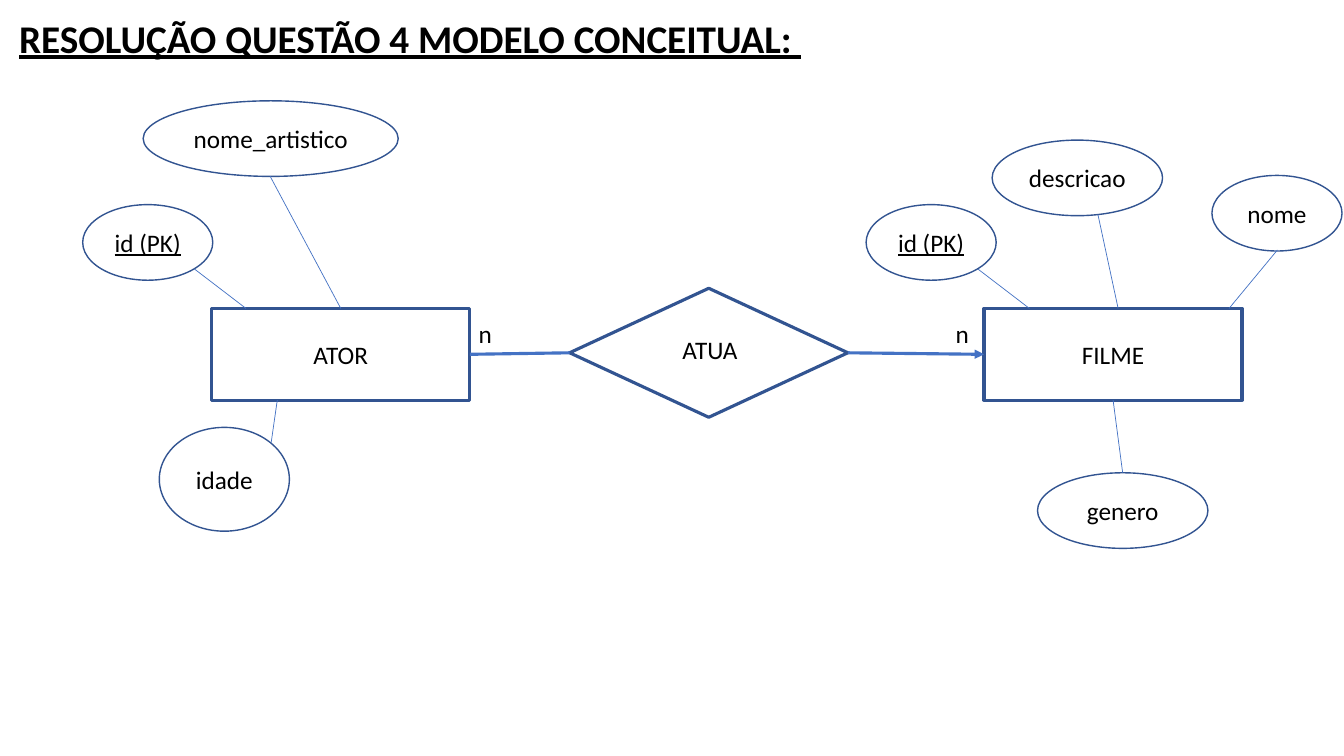
from dataclasses import dataclass

from lxml.etree import SubElement
from pptx import Presentation
from pptx.dml.color import RGBColor
from pptx.enum.shapes import MSO_CONNECTOR as Connector, MSO_SHAPE as Shape
from pptx.enum.text import MSO_ANCHOR as Anchor, MSO_AUTO_SIZE as AutoSize, PP_ALIGN as Align
from pptx.oxml.ns import qn
from pptx.util import Inches, Pt


@dataclass(frozen=True)
class Theme:
    font: str = "Calibri"
    text: RGBColor = RGBColor(0x00, 0x00, 0x00)
    outline: RGBColor = RGBColor(0x32, 0x54, 0x91)
    link: RGBColor = RGBColor(0x44, 0x72, 0xC4)
    title_size: int = 28
    label_size: int = 18
    thick: float = 2.25
    medium: float = 1
    thin: float = 0.5


THEME = Theme()
TOP, BOTTOM, LEFT, RIGHT = 0, 2, 1, 3  # connection sites, by side
ENTITY_TOP, ENTITY_SIZE = 3.06, (2.56, 0.91)
SMALL, MEDIUM = (1.29, 0.75), (1.69, 0.75)  # attribute ellipses


def write(shape, text, size=THEME.label_size, align=Align.LEFT, bold=False, underline=False):
    frame = shape.text_frame
    frame.text = text
    frame.paragraphs[0].alignment = align
    font = frame.paragraphs[0].runs[0].font
    font.name, font.size = THEME.font, Pt(size)
    font.bold, font.underline = bold, underline
    font.color.rgb = THEME.text


def add_title(slide, text):
    title = slide.shapes.title
    title.left, title.top = Inches(0.09), Inches(0.09)
    title.width, title.height = Inches(8.04), Inches(0.57)
    write(title, text, THEME.title_size, bold=True, underline=True)
    title.text_frame.word_wrap = False
    title.text_frame.auto_size = AutoSize.NONE
    title.text_frame.vertical_anchor = Anchor.TOP


def add_outlined(slide, kind, position, size, weight, text="", underline=False):
    shape = slide.shapes.add_shape(kind, *map(Inches, position + size))
    shape.shadow.inherit = False
    shape.fill.background()
    shape.line.color.rgb = THEME.outline
    shape.line.width = Pt(weight)
    if text:
        write(shape, text, align=Align.CENTER, underline=underline)
        shape.text_frame.vertical_anchor = Anchor.MIDDLE
    return shape


def add_entity(slide, name, left):
    return add_outlined(slide, Shape.RECTANGLE, (left, ENTITY_TOP), ENTITY_SIZE,
                        THEME.thick, name)


def add_attribute(slide, name, position, size, key=False):
    return add_outlined(slide, Shape.OVAL, position, size, THEME.medium, name, underline=key)


def add_label(slide, text, left, top, width):
    label = slide.shapes.add_textbox(*map(Inches, (left, top, width, 0.4)))
    label.text_frame.word_wrap = False
    write(label, text)


def add_link(slide, start, end, weight=THEME.thin, begin_at=None, end_at=None, arrow=False):
    """Draw a line; begin_at and end_at are (shape, side) pairs to join."""
    link = slide.shapes.add_connector(Connector.STRAIGHT, *map(Inches, start + end))
    link.line.color.rgb = THEME.link
    link.line.width = Pt(weight)
    if arrow:
        SubElement(link.line._get_or_add_ln(), qn("a:tailEnd"), type="triangle")
    SubElement(link._element.spPr, qn("a:effectLst"))
    if begin_at:
        link.begin_connect(*begin_at)
    if end_at:
        link.end_connect(*end_at)


def main():
    deck = Presentation()
    deck.slide_width, deck.slide_height = Inches(13.33), Inches(7.5)
    slide = deck.slides.add_slide(deck.slide_layouts[5])
    add_title(slide, "RESOLUÇÃO QUESTÃO 4 MODELO CONCEITUAL: ")

    # Actor entity and its attributes
    ator = add_entity(slide, "ATOR", 2.1)
    add_attribute(slide, "nome_artistico", (1.42, 1), (2.53, 0.75))
    add_attribute(slide, "id (PK)", (0.82, 2.03), SMALL, key=True)
    add_attribute(slide, "idade", (1.58, 4.24), (1.29, 1.03))
    add_link(slide, (1.93, 2.67), (2.44, 3.06))
    add_link(slide, (2.68, 1.75), (3.38, 3.06), end_at=(ator, TOP))
    add_link(slide, (2.75, 3.97), (2.69, 4.39))

    # Film entity and its attributes
    filme = add_entity(slide, "FILME", 9.76)
    add_attribute(slide, "id (PK)", (8.59, 2.03), SMALL, key=True)
    add_attribute(slide, "nome", (12.02, 1.74), SMALL)
    add_attribute(slide, "descricao", (9.84, 1.39), MEDIUM)
    genero = add_attribute(slide, "genero", (10.29, 4.69), MEDIUM)
    add_link(slide, (9.7, 2.67), (10.21, 3.06))
    add_link(slide, (12.67, 2.48), (12.19, 3.06))
    add_link(slide, (10.89, 2.13), (11.09, 3.06))
    add_link(slide, (11.14, 4.69), (11.04, 3.97),
             begin_at=(genero, TOP), end_at=(filme, BOTTOM))

    # Relationship between the entities, with cardinalities
    atua = add_outlined(slide, Shape.FLOWCHART_DECISION, (5.65, 2.86), (2.76, 1.28), THEME.thick)
    add_link(slide, (4.66, 3.51), (5.65, 3.5), THEME.thick,
             begin_at=(ator, RIGHT), end_at=(atua, LEFT))
    add_link(slide, (8.41, 3.5), (9.76, 3.51), THEME.thick,
             begin_at=(atua, RIGHT), end_at=(filme, LEFT), arrow=True)
    add_label(slide, "ATUA", 6.67, 3.27, 0.75)
    for left in (4.65, 9.38):
        add_label(slide, "n", left, 3.11, 0.34)

    deck.save("out.pptx")


if __name__ == "__main__":
    main()
